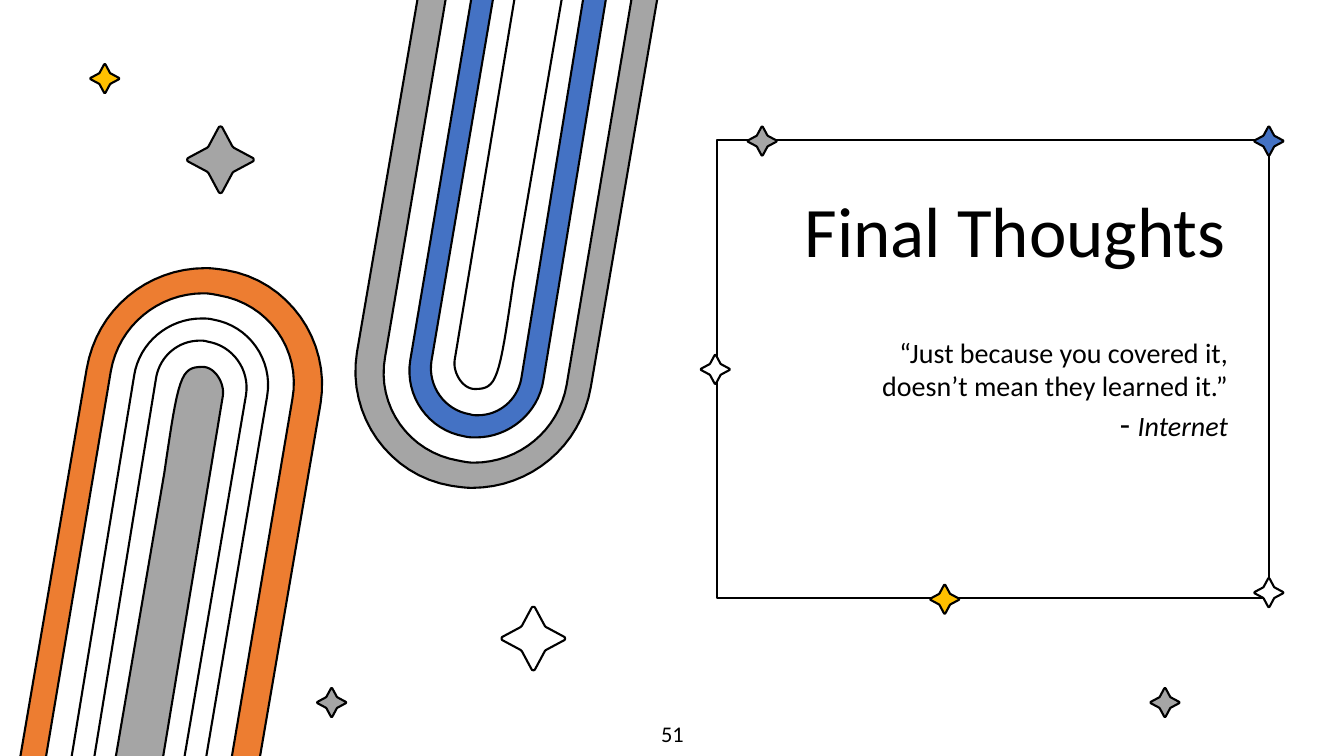
import pptx
import pptx.dml.color
import pptx.enum.shapes
import pptx.enum.text
import pptx.util

COLUMNS, ROWS = 1333, 750
CELL = pptx.util.Inches(0.01)
BLACK, WHITE, GREY = "000000", "FFFFFF", "A5A5A5"
BLUE, ORANGE, GOLD = "4472C4", "ED7D31", "FFC000"
CURVE_STEPS = 16
MIRROR_COLUMNS = 672

# Each arch is a start point followed by lines (2 numbers) and curves (6 numbers).
OUTER_ARCH = [
    (204, 266), (146, 266, 96, 307, 86, 366), (9, 816), (34, 820), (110, 368),
    (118, 323, 157, 291, 202, 291), (207, 291, 212, 292, 217, 293),
    (266, 301, 299, 347, 290, 396), (213, 851), (240, 855), (318, 400),
    (328, 338, 286, 278, 224, 268), (217, 267, 210, 266, 204, 266),
]
MIDDLE_ARCH = [
    (200, 316), (167, 316, 138, 340, 133, 373), (60, 818), (82, 822), (155, 374),
    (159, 353, 177, 338, 198, 338), (201, 338, 203, 338, 206, 339),
    (231, 343, 248, 367, 244, 392), (168, 839), (189, 843), (265, 393),
    (271, 357, 247, 323, 211, 317), (207, 316, 203, 316, 200, 316),
]
INNER_ARCH = [
    (201, 364), (179, 364, 177, 373, 163, 469), (102, 826), (148, 834),
    (221, 393), (223, 380, 213, 364, 201, 364),
]
STAR_ARM = [(0, -1), (-0.04, -0.99), (-0.06, -0.96), (-0.36, -0.4),
            (-0.4, -0.36), (-0.96, -0.06), (-0.99, -0.04)]
STARS = [
    (756, 140, 14.3, GREY), (1258.5, 140, 14.3, BLUE), (1258.5, 588, 14.3, WHITE),
    (709.5, 366.5, 14.3, WHITE), (937, 594.5, 14.3, GOLD), (329, 697, 14.3, GREY),
    (1155.5, 697, 14.3, GREY), (104, 78, 14.3, GOLD),
    (218.7, 158.5, 33, GREY), (529, 633.5, 31.5, WHITE),
]


def colour(hex_string):
    """Turn a hex string into a colour."""
    return pptx.dml.color.RGBColor.from_string(hex_string)


def grid(*cells):
    """Turn counts of grid cells into lengths."""
    return [round(count * CELL) for count in cells]


def paint(shape, fill):
    """Give a shape its fill and the black outline, without shadow."""
    shape.shadow.inherit = False
    shape.fill.solid()
    shape.fill.fore_color.rgb = colour(fill)
    shape.line.color.rgb = colour(BLACK)
    shape.line.width = pptx.util.Pt(1.5)


def add_outline(slide, points, fill):
    """Draw a closed outline through grid points."""
    corners = [grid(*point) for point in points]
    builder = slide.shapes.build_freeform(*corners[0], scale=1.0)
    builder.add_line_segments(corners[1:], close=True)
    paint(builder.convert_to_shape(), fill)


def trace(segments):
    """Return the points along a path of lines and cubic curves."""
    points = [segments[0]]
    for segment in segments[1:]:
        if len(segment) == 2:
            points.append(segment)
            continue
        controls = [points[-1], segment[:2], segment[2:4], segment[4:]]
        for step in range(1, CURVE_STEPS + 1):
            t = step / CURVE_STEPS
            weights = [(1 - t) ** 3, 3 * t * (1 - t) ** 2, 3 * t ** 2 * (1 - t), t ** 3]
            points.append(tuple(
                sum(weight * control[axis] for weight, control in zip(weights, controls))
                for axis in (0, 1)))
    return points


def add_arches(slide, fills, turned=False):
    """Draw three nested arches, turned upside down if asked."""
    for segments, fill in zip((OUTER_ARCH, MIDDLE_ARCH, INNER_ARCH), fills):
        points = trace(segments)
        if turned:
            points = [(MIRROR_COLUMNS - x, ROWS - y) for x, y in points]
        add_outline(slide, points, fill)


def add_star(slide, column, row, radius, fill):
    """Draw a four-pointed star by turning one arm around its centre."""
    arm, points = STAR_ARM, []
    for _ in range(4):
        points += [(column + radius * x, row + radius * y) for x, y in arm]
        arm = [(y, -x) for x, y in arm]
    add_outline(slide, points, fill)


def add_frame(slide, left, top, width, height):
    """Draw the rectangle behind the text."""
    frame = slide.shapes.add_shape(
        pptx.enum.shapes.MSO_SHAPE.RECTANGLE, *grid(left, top, width, height))
    paint(frame, WHITE)


def write(shape, box, text, size, align, inset=13):
    """Place a text shape and format its paragraphs."""
    shape.left, shape.top, shape.width, shape.height = grid(*box)
    frame = shape.text_frame
    frame.text = text
    frame.word_wrap = True
    frame.auto_size = pptx.enum.text.MSO_AUTO_SIZE.NONE
    frame.vertical_anchor = pptx.enum.text.MSO_ANCHOR.MIDDLE
    frame.margin_left = frame.margin_right = CELL * inset
    frame.margin_top = frame.margin_bottom = CELL * inset
    for paragraph in frame.paragraphs:
        paragraph.alignment = align
        paragraph.space_before = pptx.util.Pt(0)
        for run in paragraph.runs:
            style(run, size)
    return frame


def style(run, size, italic=False):
    """Set the font of a run."""
    run.font.name = "Calibri"
    run.font.size = pptx.util.Pt(size)
    run.font.italic = italic
    run.font.color.rgb = colour(BLACK)


def main():
    """Build the closing slide and save it."""
    presentation = pptx.Presentation()
    presentation.slide_width, presentation.slide_height = grid(COLUMNS, ROWS)
    slide = presentation.slides.add_slide(presentation.slide_layouts[0])
    title, quote = slide.placeholders
    right = pptx.enum.text.PP_ALIGN.RIGHT

    add_frame(slide, 711, 139, 548, 454)
    for star in STARS:
        add_star(slide, *star)
    add_arches(slide, (ORANGE, WHITE, GREY))
    add_arches(slide, (GREY, BLUE, WHITE), turned=True)

    heading = write(title, (736, 191, 493, 83), "Final Thoughts", 50.7, right)
    heading.paragraphs[0].line_spacing = 0.9
    saying = write(
        quote, (804, 334, 427, 104),
        "“Just because you covered it, doesn’t mean they learned it.”\n- ", 20, right)
    credit = saying.paragraphs[1]
    style(credit.runs[0], 24)
    source = credit.add_run()
    source.text = "Internet"
    style(source, 20, italic=True)
    for placeholder in (title, quote):
        slide.shapes.element.append(placeholder.element)

    number_box = (517, 708, 300, 40)
    number = slide.shapes.add_textbox(*grid(*number_box))
    write(number, number_box, "51", 16, pptx.enum.text.PP_ALIGN.CENTER, inset=5)
    presentation.save("out.pptx")


if __name__ == "__main__":
    main()
